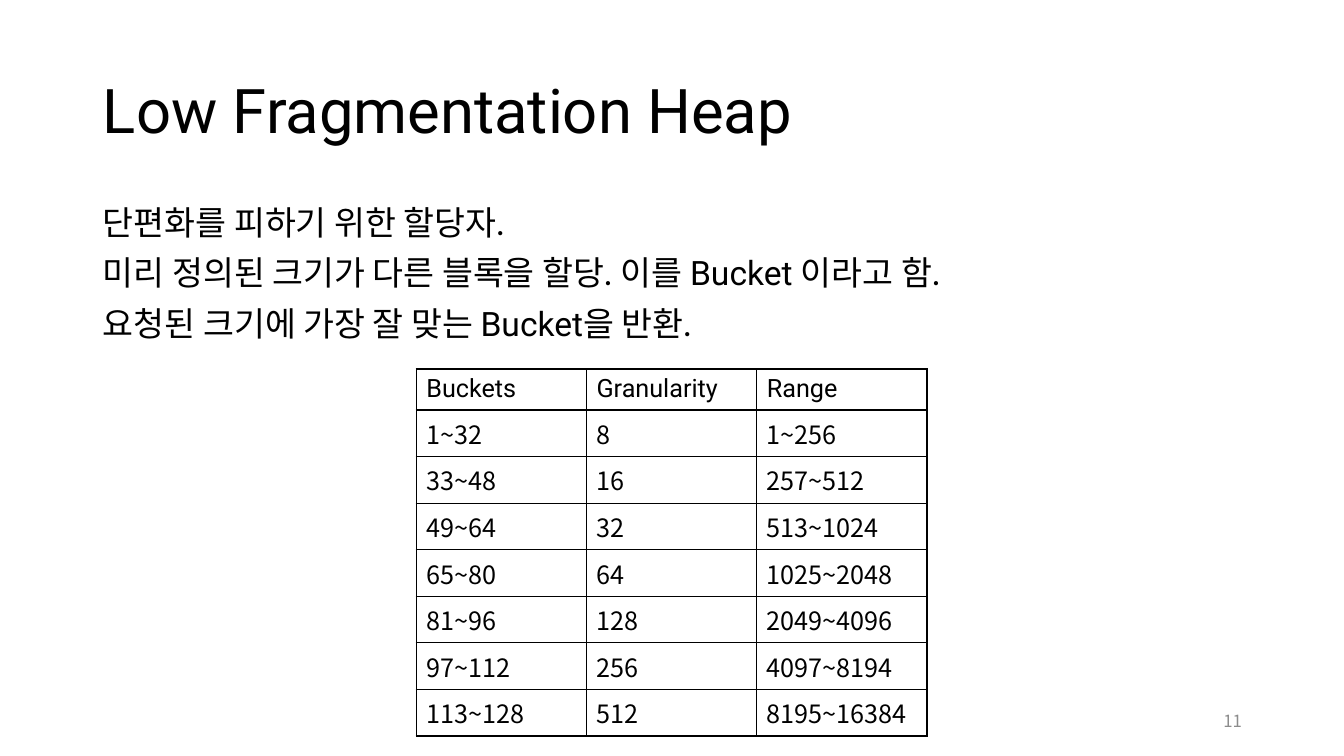
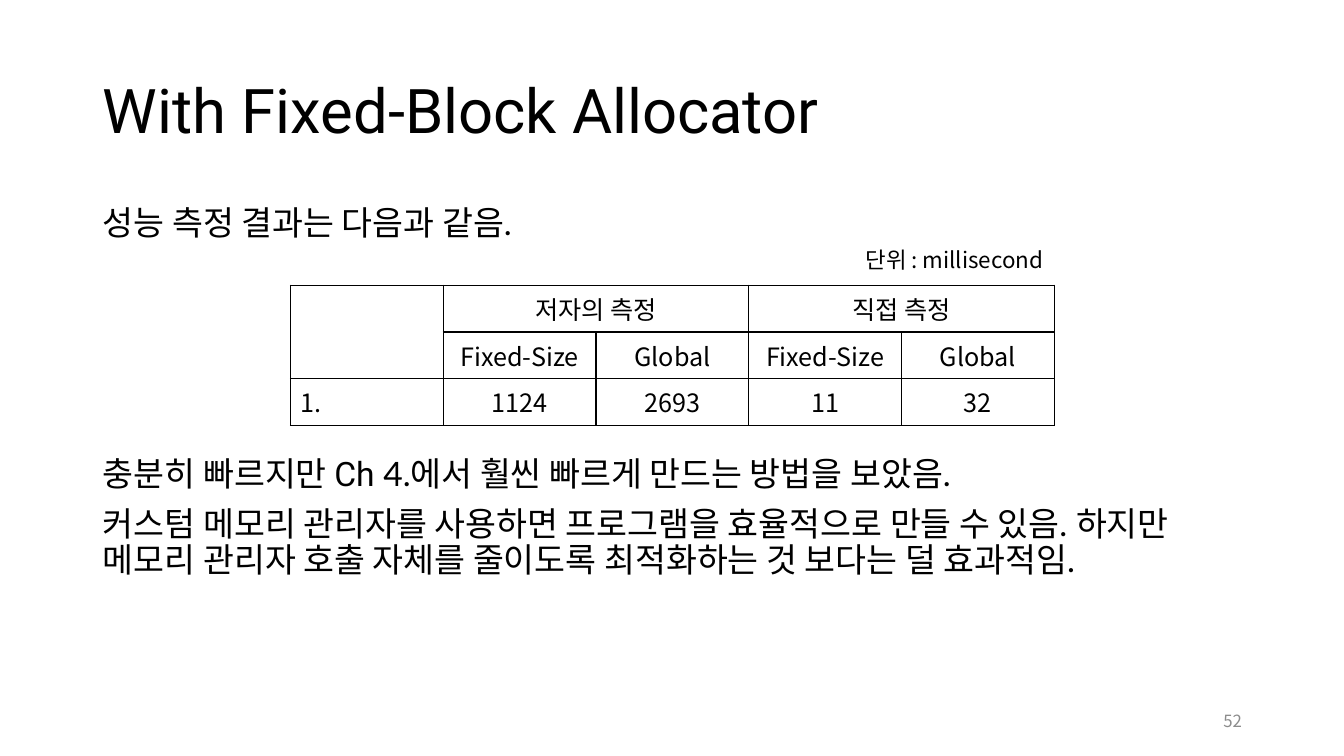
import pptx
import pptx.util
import pptx.dml.color
import pptx.enum.text
import pptx.oxml
import pptx.oxml.ns
import lxml.etree

Cm, Pt = pptx.util.Cm, pptx.util.Pt
ALIGN = pptx.enum.text.PP_ALIGN
ANCHOR = pptx.enum.text.MSO_ANCHOR
qn = pptx.oxml.ns.qn

BLACK = pptx.dml.color.RGBColor(0x00, 0x00, 0x00)
GRAY = pptx.dml.color.RGBColor(0x8C, 0x8C, 0x8C)
LATIN, BODY, KOREAN = "Roboto", "Lato", "Noto Sans CJK KR"

TITLE_BOX = (2.34, 1.02, 29.21, 3.68)
BODY_BOX = (2.34, 5.08, 29.21, 12.09)
NUMBER_BOX = (23.93, 17.65, 7.62, 1.02)
UNIT_BOX = (20.8, 6.07, 5.74, 0.94)
SPACE_BEFORE = 10
TABLE_GAP = 153

SLIDES = [
    {
        "title": "Low Fragmentation Heap",
        "number": "11",
        "body": [
            (SPACE_BEFORE, [("단편화를 피하기 위한 할당자.", BODY)]),
            (SPACE_BEFORE, [("미리 정의된 크기가 다른 블록을 할당. 이를 ", BODY),
                            ("Bucket ", LATIN), ("이라고 함.", BODY)]),
            (SPACE_BEFORE, [("요청된 크기에 가장 잘 맞는 ", BODY),
                            ("Bucket", LATIN), ("을 반환.", BODY)]),
        ],
        "table": {
            "at": (10.49, 9.3), "col": 4.29, "heights": [1.03] * 8,
            "header_font": LATIN, "align": ALIGN.LEFT, "merges": [],
            "rows": [
                ("Buckets", "Granularity", "Range"),
                ("1~32", "8", "1~256"),
                ("33~48", "16", "257~512"),
                ("49~64", "32", "513~1024"),
                ("65~80", "64", "1025~2048"),
                ("81~96", "128", "2049~4096"),
                ("97~112", "256", "4097~8194"),
                ("113~128", "512", "8195~16384"),
            ],
        },
    },
    {
        "title": "With Fixed-Block Allocator",
        "number": "52",
        "unit": "단위 : millisecond",
        "body": [
            (SPACE_BEFORE, [("성능 측정 결과는 다음과 같음.", BODY)]),
            (TABLE_GAP, [("충분히 빠르지만 ", BODY), ("Ch", LATIN),
                         (" 4.에서 훨씬 빠르게 만드는 방법을 보았음.", BODY)]),
            (SPACE_BEFORE, [("커스텀 메모리 관리자를 사용하면 프로그램을 효율적으로 만들 수 있음. 하지만\n"
                             "메모리 관리자 호출 자체를 줄이도록 최적화하는 것 보다는 덜 효과적임.", BODY)]),
        ],
        "table": {
            "at": (7.32, 7.19), "col": 3.85, "heights": [0.94, 1.03, 1.03],
            "header_font": KOREAN, "align": ALIGN.CENTER,
            "merges": [((0, 0), (1, 0)), ((0, 1), (0, 2)), ((0, 3), (0, 4))],
            "rows": [
                ("", "저자의 측정", "", "직접 측정", ""),
                ("", "Fixed-Size", "Global", "Fixed-Size", "Global"),
                ("1.", "1124", "2693", "11", "32"),
            ],
        },
    },
]


def write(p, text, size=18, font=KOREAN, color=BLACK, align=ALIGN.LEFT):
    p.alignment = align
    for i, line in enumerate(text.split("\n")):
        if i:
            p.add_line_break()
        r = p.add_run()
        r.text = line
        r.font.size = Pt(size)
        r.font.name = font
        r.font.color.rgb = color
        ea = lxml.etree.SubElement(r._r.get_or_add_rPr(), qn("a:ea"))
        ea.set("typeface", KOREAN)


def place(sp, box):
    sp.left, sp.top, sp.width, sp.height = map(Cm, box)


def set_up_layout(layout):
    for sp, box in zip(layout.placeholders, (TITLE_BOX, BODY_BOX)):
        place(sp, box)
        sp.text_frame.auto_size = pptx.enum.text.MSO_AUTO_SIZE.NONE


def add_title(s, text):
    p = s.shapes.title.text_frame.paragraphs[0]
    p.line_spacing = 0.9
    write(p, text, size=44, font=LATIN)


def add_body(s, paragraphs):
    tf = s.placeholders[1].text_frame
    for i, (before, runs) in enumerate(paragraphs):
        p = tf.add_paragraph() if i else tf.paragraphs[0]
        p.line_spacing = 0.9
        p.space_before = Pt(before)
        pPr = p._p.get_or_add_pPr()
        pPr.set("marL", "0")
        pPr.set("indent", "0")
        lxml.etree.SubElement(pPr, qn("a:buNone"))
        for text, font in runs:
            write(p, text, size=24, font=font)


def add_label(s, text, box, anchor=ANCHOR.TOP, **fmt):
    tf = s.shapes.add_textbox(*map(Cm, box)).text_frame
    tf.word_wrap = True
    tf.vertical_anchor = anchor
    write(tf.paragraphs[0], text, align=ALIGN.RIGHT, **fmt)


def set_borders(cell):
    tcPr = cell._tc.get_or_add_tcPr()
    for side in ("lnL", "lnR", "lnT", "lnB"):
        ln = lxml.etree.SubElement(tcPr, qn("a:" + side))
        ln.set("w", str(Pt(1)))
        fill = lxml.etree.SubElement(ln, qn("a:solidFill"))
        lxml.etree.SubElement(fill, qn("a:srgbClr")).set("val", str(BLACK))


def add_table(s, data):
    rows, heights = data["rows"], data["heights"]
    cols = len(rows[0])
    table = s.shapes.add_table(len(rows), cols, *map(Cm, data["at"]),
                               Cm(data["col"] * cols), Cm(sum(heights))).table
    table.first_row = table.horz_banding = False
    for column in table.columns:
        column.width = Cm(data["col"])
    for i, texts in enumerate(rows):
        table.rows[i].height = Cm(heights[i])
        for j, text in enumerate(texts):
            cell = table.cell(i, j)
            set_borders(cell)
            cell.fill.background()
            if text:
                write(cell.text_frame.paragraphs[0], text,
                      font=KOREAN if i else data["header_font"],
                      align=data["align"] if j else ALIGN.LEFT)
    for start, end in data["merges"]:
        table.cell(*start).merge(table.cell(*end))


def main():
    prs = pptx.Presentation()
    prs.slide_width, prs.slide_height = Cm(33.87), Cm(19.05)
    layout = prs.slide_layouts[1]
    set_up_layout(layout)
    for content in SLIDES:
        s = prs.slides.add_slide(layout)
        add_title(s, content["title"])
        add_body(s, content["body"])
        add_table(s, content["table"])
        if "unit" in content:
            add_label(s, content["unit"], UNIT_BOX, size=16)
        add_label(s, content["number"], NUMBER_BOX, ANCHOR.MIDDLE, size=12, color=GRAY)
    prs.save("out.pptx")


if __name__ == "__main__":
    main()
